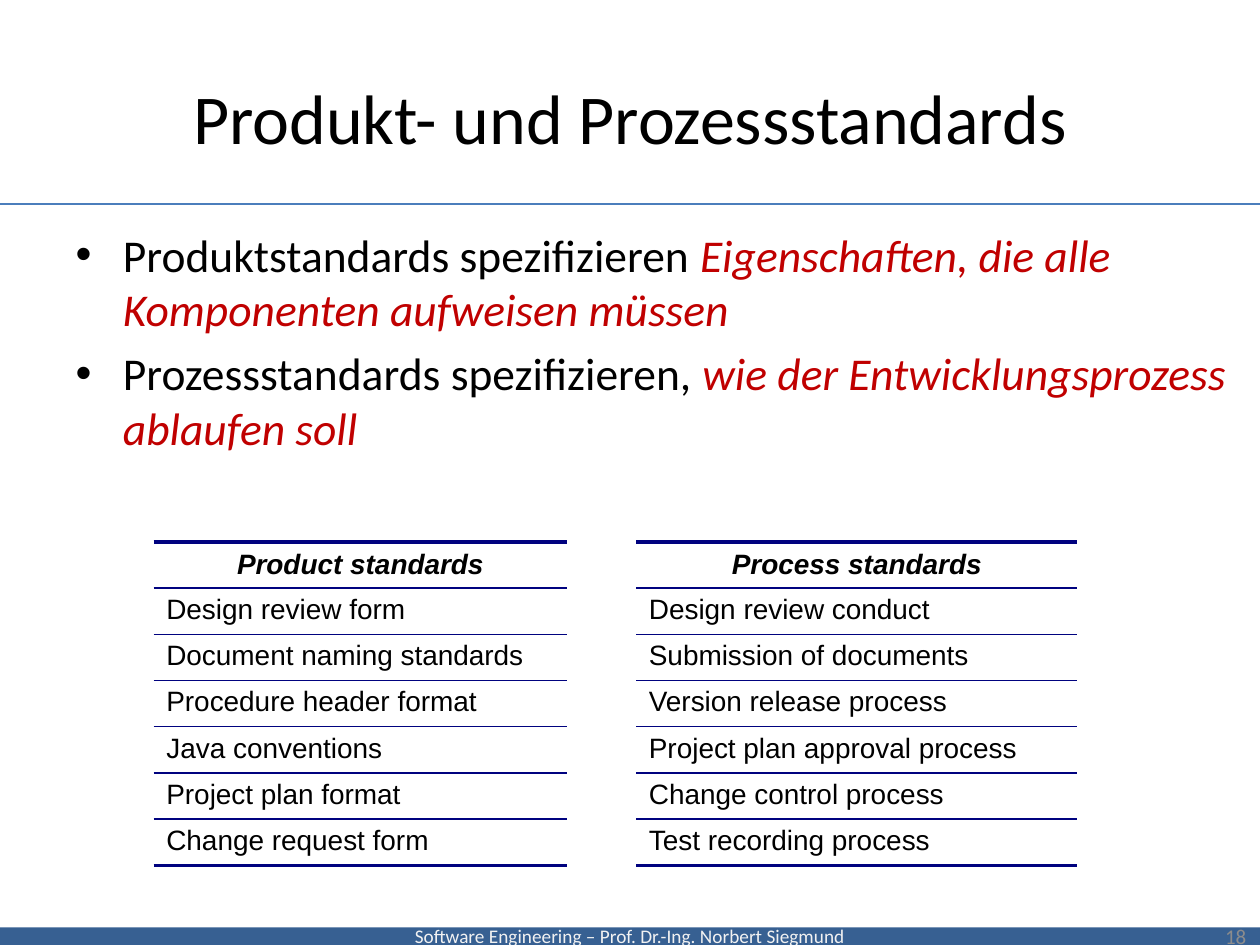
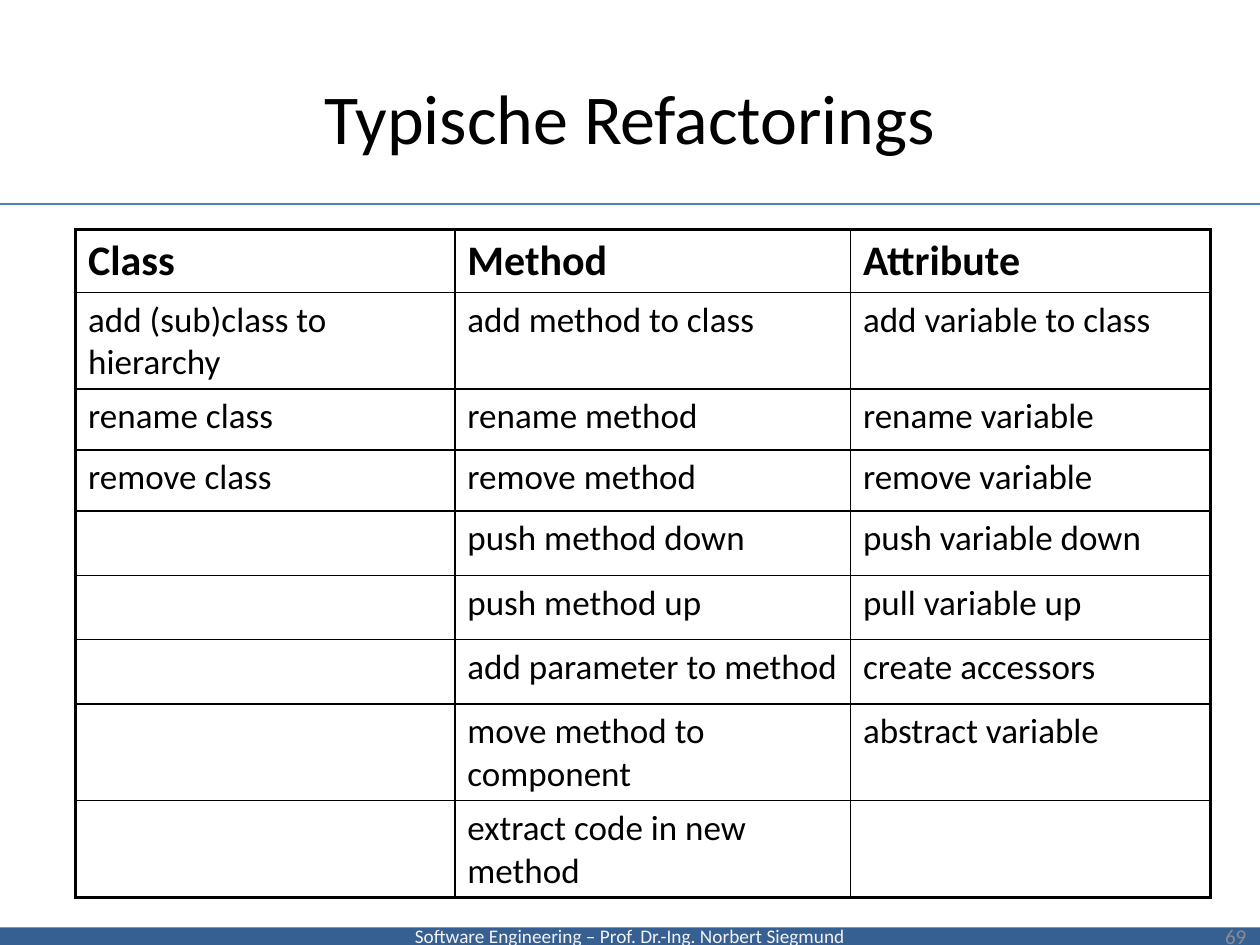
from lxml.etree import SubElement
from pptx import Presentation
from pptx.dml.color import RGBColor
from pptx.enum.shapes import MSO_CONNECTOR, MSO_SHAPE
from pptx.enum.text import MSO_ANCHOR, PP_ALIGN
from pptx.oxml import parse_xml
from pptx.oxml.ns import nsdecls, qn
from pptx.util import Inches, Pt

COLORS = {
    "band": "376092",
    "band_text": "F2F2F2",
    "rule": "4B7EBC",
    "text": "000000",
    "accent": "C00000",
    "number": "8C8C8C",
    "navy": "00027F",
}
WIDTH, HEIGHT = Inches(10), Inches(7.5)
COLUMN, ROW = WIDTH / 100, HEIGHT / 75
THICK, THIN = 2.25, 1
SIDES = ("L", "R", "T", "B")
FOOTER = "Software Engineering – Prof. Dr.-Ing. Norbert Siegmund"
STANDARDS = [
    ("Product standards", "", "Process standards"),
    ("Design review form", "", "Design review conduct"),
    ("Document naming standards", "", "Submission of documents"),
    ("Procedure header format", "", "Version release process"),
    ("Java conventions", "", "Project plan approval process"),
    ("Project plan format", "", "Change control process"),
    ("Change request form", "", "Test recording process"),
]
REFACTORINGS = [
    ("Class", "Method", "Attribute"),
    ("add (sub)class to hierarchy", "add method to class", "add variable to class"),
    ("rename class", "rename method", "rename variable"),
    ("remove class", "remove method", "remove variable"),
    ("", "push method down", "push variable down"),
    ("", "push method up", "pull variable up"),
    ("", "add parameter to method", "create accessors"),
    ("", "move method to component", "abstract variable"),
    ("", "extract code in new method", ""),
]


def grid(left, top, width, height):
    return [round(v) for v in (left * COLUMN, top * ROW, width * COLUMN, height * ROW)]


def rgb(name):
    return RGBColor.from_string(COLORS[name])


def add_run(para, text, size, color="text", font="Calibri", bold=False, italic=False):
    span = para.add_run()
    span.text = text
    span.font.name = font
    span.font.size = Pt(size)
    span.font.bold = bold
    span.font.italic = italic
    span.font.color.rgb = rgb(color)


def place(shape, *area):
    shape.left, shape.top, shape.width, shape.height = grid(*area)


def decorate_master(deck, page):
    band = page.shapes.add_shape(MSO_SHAPE.RECTANGLE, *grid(0, 73.6, 100, 1.4))
    band.shadow.inherit = False
    band.fill.solid()
    band.fill.fore_color.rgb = rgb("band")
    band.line.fill.background()
    frame = band.text_frame
    frame.margin_top = frame.margin_bottom = 0
    frame.vertical_anchor = MSO_ANCHOR.MIDDLE
    frame.paragraphs[0].alignment = PP_ALIGN.CENTER
    add_run(frame.paragraphs[0], FOOTER, 11, "band_text")

    left, top, width, _ = grid(0, 16.2, 100.4, 0)
    rule = page.shapes.add_connector(MSO_CONNECTOR.STRAIGHT, left, top, width, top)
    rule.line.color.rgb = rgb("rule")
    rule.line.width = Pt(0.75)
    properties = rule.element.find(qn("p:spPr"))
    properties.append(parse_xml(f"<a:effectLst {nsdecls('a')}/>"))

    for shape in (band, rule):
        deck.slide_master.shapes.element.append(shape.element)


def add_page(deck, layout, title, number):
    page = deck.slides.add_slide(deck.slide_layouts.get_by_name(layout))
    heading = page.shapes.title
    place(heading, 5, 3, 90, 12.5)
    heading.text_frame.vertical_anchor = MSO_ANCHOR.MIDDLE
    para = heading.text_frame.paragraphs[0]
    para.alignment = PP_ALIGN.CENTER
    add_run(para, title, 40)

    box = page.shapes.add_textbox(*grid(76.6, 72.3, 23.3, 4))
    box.text_frame.word_wrap = True
    box.text_frame.vertical_anchor = MSO_ANCHOR.MIDDLE
    para = box.text_frame.paragraphs[0]
    para.alignment = PP_ALIGN.RIGHT
    add_run(para, number, 12, "number")
    return page


def fill_bullets(body, items):
    place(body, 5, 17.5, 94.6, 56.1)
    frame = body.text_frame
    for index, (lead, emphasis) in enumerate(items):
        para = frame.paragraphs[0] if index == 0 else frame.add_paragraph()
        if index == 0:
            para.space_before = Pt(0)
        add_run(para, lead, 26)
        add_run(para, emphasis, 26, "accent", italic=True)


def set_borders(cell, color, widths):
    properties = cell._tc.get_or_add_tcPr()
    for index, (side, width) in enumerate(zip(SIDES, widths)):
        line = parse_xml(f"<a:ln{side} {nsdecls('a')}/>")
        if width:
            line.set("w", str(Pt(width)))
            fill = SubElement(line, qn("a:solidFill"))
            SubElement(fill, qn("a:srgbClr")).set("val", COLORS[color])
        else:
            SubElement(line, qn("a:noFill"))
        properties.insert(index, line)


def add_grid_table(page, left, top, widths, heights, rows, write, borders, color):
    area = grid(left, top, sum(widths), sum(heights))
    table = page.shapes.add_table(len(rows), len(widths), *area).table
    table.first_row = table.horz_banding = False
    for column, width in zip(table.columns, widths):
        column.width = round(width * COLUMN)
    for row, height in zip(table.rows, heights):
        row.height = round(height * ROW)
    for r, texts in enumerate(rows):
        for c, text in enumerate(texts):
            cell = table.cell(r, c)
            cell.fill.background()
            set_borders(cell, color, borders(r, c))
            if text:
                write(cell, text, r == 0)
            else:
                cell.margin_top = cell.margin_bottom = 0


def write_standard(cell, text, is_header):
    para = cell.text_frame.paragraphs[0]
    if is_header:
        cell.vertical_anchor = MSO_ANCHOR.MIDDLE
        para.alignment = PP_ALIGN.CENTER
    add_run(para, text, 16, font="Arial", bold=is_header, italic=is_header)


def write_refactoring(cell, text, is_header):
    add_run(cell.text_frame.paragraphs[0], text, 24 if is_header else 20, bold=is_header)


def outer_or_inner(is_outer):
    return THICK if is_outer else THIN


def standard_borders(r, c):
    if c == 1:
        return 0, 0, 0, 0
    return 0, 0, outer_or_inner(r == 0), outer_or_inner(r == len(STANDARDS) - 1)


def refactoring_borders(r, c):
    last = len(REFACTORINGS) - 1
    return [outer_or_inner(edge) for edge in (c == 0, c == 2, r == 0, r == last)]


def main():
    deck = Presentation()
    deck.slide_width, deck.slide_height = WIDTH, HEIGHT

    page = add_page(deck, "Title and Content", "Produkt- und Prozessstandards", "18")
    decorate_master(deck, page)
    fill_bullets(page.placeholders[1], [
        ("Produktstandards spezifizieren ",
         "Eigenschaften, die alle Komponenten aufweisen müssen"),
        ("Prozessstandards spezifizieren, ",
         "wie der Entwicklungsprozess ablaufen soll"),
    ])
    add_grid_table(page, 12.2, 43, (32.8, 5.5, 35), [3.67] * len(STANDARDS),
                   STANDARDS, write_standard, standard_borders, "navy")

    page = add_page(deck, "Title Only", "Typische Refactorings", "69")
    heights = (4.7, 7, 4.85, 4.85, 5.1, 5.1, 5.1, 7, 7)
    add_grid_table(page, 6, 18.2, (30.1, 31.4, 28.6), heights,
                   REFACTORINGS, write_refactoring, refactoring_borders, "text")

    deck.save("out.pptx")


if __name__ == "__main__":
    main()
